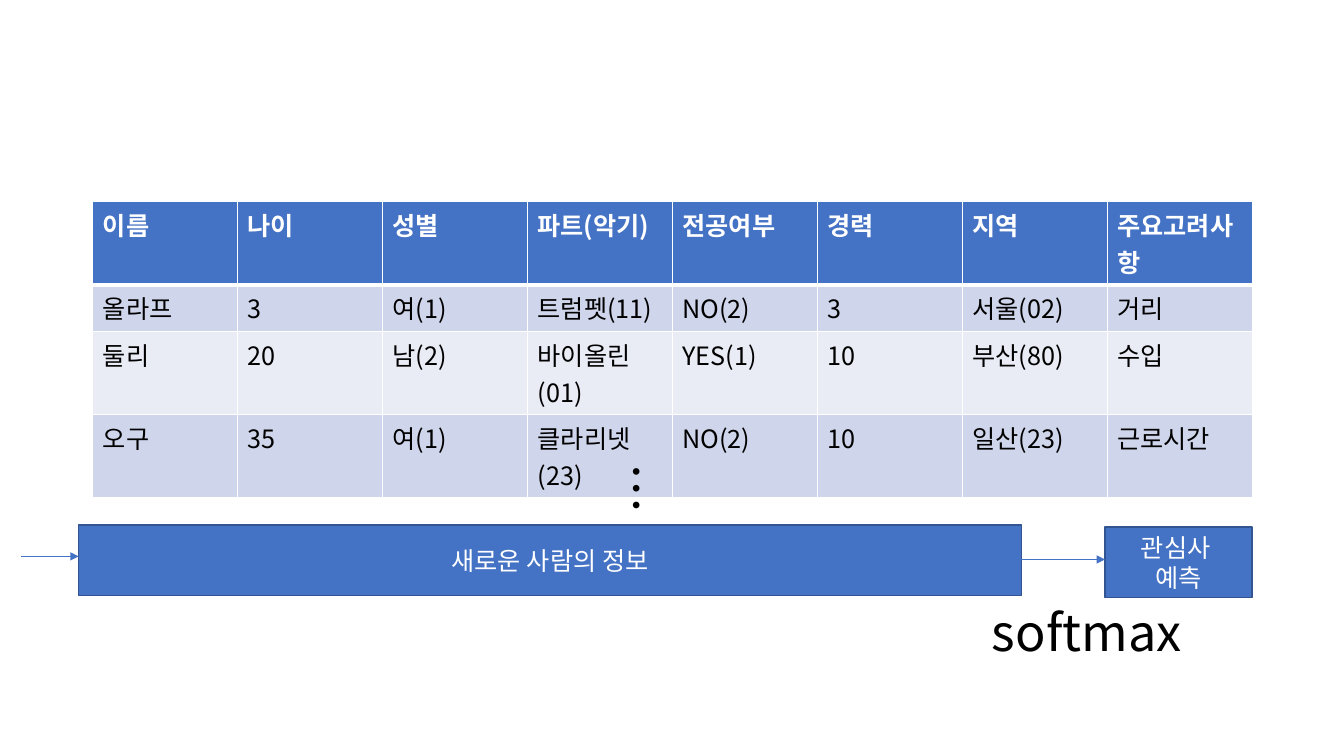
from dataclasses import dataclass

from lxml.etree import SubElement
from pptx import Presentation
from pptx.dml.color import RGBColor
from pptx.enum.shapes import MSO_CONNECTOR, MSO_SHAPE
from pptx.enum.text import MSO_ANCHOR, MSO_AUTO_SIZE, PP_ALIGN
from pptx.oxml.ns import qn
from pptx.util import Inches, Pt


@dataclass(frozen=True)
class Theme:
    font: str = "Noto Sans CJK KR"
    blue: RGBColor = RGBColor(0x44, 0x72, 0xC4)
    outline: RGBColor = RGBColor(0x32, 0x54, 0x91)
    bands: tuple = (RGBColor(0xCF, 0xD5, 0xEA), RGBColor(0xE9, 0xEB, 0xF5))
    white: RGBColor = RGBColor(0xFF, 0xFF, 0xFF)
    black: RGBColor = RGBColor(0x00, 0x00, 0x00)
    body: Pt = Pt(18)
    large: Pt = Pt(36)


theme = Theme()


def add_run(paragraph, text, size, color, bold=False):
    run = paragraph.add_run()
    run.text = text
    run.font.size = size
    run.font.bold = bold
    run.font.color.rgb = color
    run.font.name = theme.font
    SubElement(run.font._element, qn("a:ea"), typeface=theme.font)


def add_border(cell, side, width):
    border = SubElement(cell._tc.get_or_add_tcPr(), qn(f"a:{side}"), w=str(width))
    fill = SubElement(border, qn("a:solidFill"))
    SubElement(fill, qn("a:srgbClr"), val=str(theme.white))


presentation = Presentation()
presentation.slide_width = Inches(13.33)
presentation.slide_height = Inches(7.5)
slide = presentation.slides.add_slide(presentation.slide_layouts[6])

# Table of members
members = [
    ["이름", "나이", "성별", "파트(악기)", "전공여부", "경력", "지역", "주요고려사항"],
    ["올라프", "3", "여(1)", "트럼펫(11)", "NO(2)", "3", "서울(02)", "거리"],
    ["둘리", "20", "남(2)", "바이올린(01)", "YES(1)", "10", "부산(80)", "수입"],
    ["오구", "35", "여(1)", "클라리넷(23)", "NO(2)", "10", "일산(23)", "근로시간"],
]
row_height = Inches(0.41)
member_table = slide.shapes.add_table(
    len(members), len(members[0]), Inches(0.92), Inches(2),
    Inches(11.5), row_height * len(members),
).table
for row, member in enumerate(members):
    is_header = row == 0
    for column, value in enumerate(member):
        cell = member_table.cell(row, column)
        for side in ("lnL", "lnR", "lnT", "lnB"):
            # A thick rule parts the header from the members
            thick = (row, side) in ((0, "lnB"), (1, "lnT"))
            add_border(cell, side, Pt(3) if thick else Pt(1))
        cell.fill.solid()
        cell.fill.fore_color.rgb = theme.blue if is_header else theme.bands[(row - 1) % 2]
        add_run(cell.text_frame.paragraphs[0], value, theme.body,
                theme.white if is_header else theme.black, is_header)

# New person's information and predicted interest
steps = [
    (0.78, 5.21, 9.35, ["새로운 사람의 정보"]),
    (10.96, 5.23, 1.46, ["관심사 ", "예측"]),
]
for left, top, width, lines in steps:
    step = slide.shapes.add_shape(
        MSO_SHAPE.RECTANGLE, Inches(left), Inches(top), Inches(width), Inches(0.7))
    step.shadow.inherit = False
    step.fill.solid()
    step.fill.fore_color.rgb = theme.blue
    step.line.color.rgb = theme.outline
    step.line.width = Pt(1)
    frame = step.text_frame
    frame.word_wrap = True
    frame.vertical_anchor = MSO_ANCHOR.MIDDLE
    for index, line in enumerate(lines):
        paragraph = frame.add_paragraph() if index else frame.paragraphs[0]
        paragraph.alignment = PP_ALIGN.CENTER
        add_run(paragraph, line, theme.body, theme.white)

# Arrows into each step
for start, end, y in [(0.21, 0.78, 5.52), (9.88, 10.96, 5.55)]:
    arrow = slide.shapes.add_connector(
        MSO_CONNECTOR.STRAIGHT, Inches(start), Inches(y), Inches(end), Inches(y))
    arrow.line.color.rgb = theme.blue
    arrow.line.width = Pt(0.5)
    SubElement(arrow.line._get_or_add_ln(), qn("a:tailEnd"), type="triangle")
    SubElement(arrow._element.spPr, qn("a:effectLst"))

# Activation label and vertical ellipsis
labels = [
    ("softmax", 9.74, 5.91, 2.43, 0.71, "horz"),
    ("…", 5.86, 4.5, 0.81, 0.92, "eaVert"),
]
for text, left, top, width, height, direction in labels:
    label = slide.shapes.add_textbox(
        Inches(left), Inches(top), Inches(width), Inches(height))
    frame = label.text_frame
    frame.word_wrap = True
    frame.auto_size = MSO_AUTO_SIZE.SHAPE_TO_FIT_TEXT
    frame._txBody.bodyPr.set("vert", direction)
    add_run(frame.paragraphs[0], text, theme.large, theme.black)

presentation.save("out.pptx")
